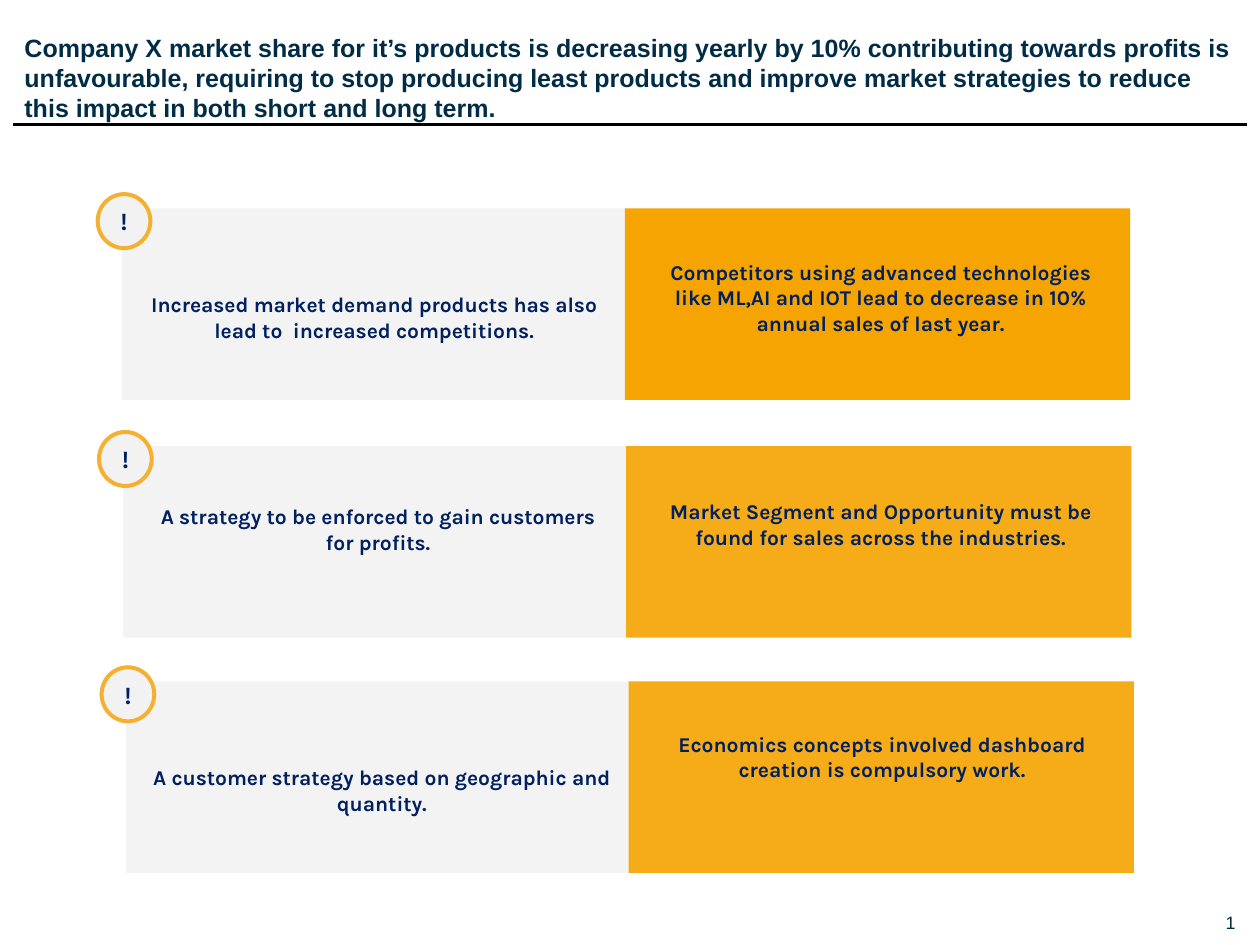
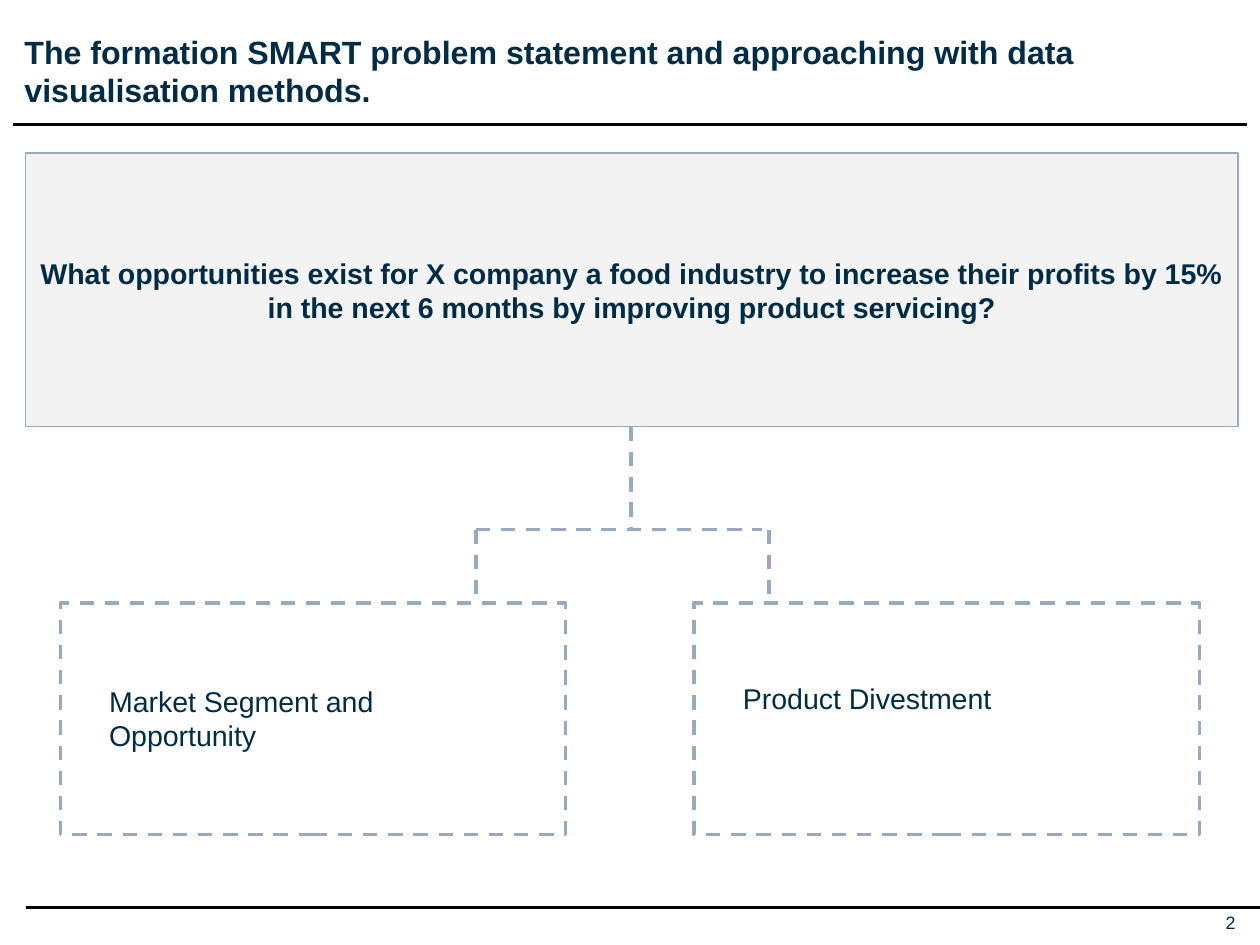
from lxml import etree
from pptx import Presentation
from pptx.dml.color import RGBColor
from pptx.enum.dml import MSO_LINE
from pptx.enum.shapes import MSO_CONNECTOR as CONN, MSO_SHAPE as SHAPE
from pptx.enum.text import MSO_ANCHOR as ANCHOR, MSO_AUTO_SIZE as FIT, PP_ALIGN as ALIGN
from pptx.oxml.ns import qn
from pptx.util import Inches, Pt

INK, NAVY, BLACK = "002C46", "002060", "000000"
PALE, AMBER, RING, STEEL = "F2F2F2", "F6A401", "F5AF31", "99AABE"


def rgb(value):
    """Turn a hex string into a colour."""
    return RGBColor.from_string(value)


class Deck:
    """Holds the shared style and the slide being built."""

    def __init__(self):
        """Start an empty deck of the right size."""
        self.prs = Presentation()
        self.prs.slide_width, self.prs.slide_height = Inches(9.8), Inches(7.35)
        self.s = None

    def slide(self, title, size, height):
        """Add a slide with its title, rule and number."""
        self.s = self.prs.slides.add_slide(self.prs.slide_layouts[5])
        sp = self.s.shapes.title
        sp.left, sp.top, sp.width, sp.height = map(Inches, (0.19, 0.25, 9.43, height))
        self.label(sp, title, size, bold=True, inset=(0, 0))
        self.line(0.1, 0.97, 9.7, 0.97)
        self.number()

    def label(self, sp, text, size, color=INK, font="Arial", bold=False,
              align=ALIGN.LEFT, anchor=ANCHOR.TOP, inset=(0.1, 0.05)):
        """Put one formatted run into a shape."""
        tf = sp.text_frame
        tf.word_wrap, tf.auto_size, tf.vertical_anchor = True, FIT.NONE, anchor
        tf.margin_left = tf.margin_right = Inches(inset[0])
        tf.margin_top = tf.margin_bottom = Inches(inset[1])
        p = tf.paragraphs[0]
        p.alignment = align
        r = p.add_run()
        r.text = text
        r.font.name, r.font.size, r.font.bold = font, Pt(size), bold
        r.font.color.rgb = rgb(color)
        return r

    def text(self, x, y, w, h, text, size, **style):
        """Add a text box."""
        sp = self.s.shapes.add_textbox(*map(Inches, (x, y, w, h)))
        return self.label(sp, text, size, **style)

    def number(self):
        """Add the slide number as a live field."""
        value = str(len(self.prs.slides))
        r = self.text(9.36, 7.09, 0.25, 0.17, value, 10, align=ALIGN.RIGHT,
                      anchor=ANCHOR.MIDDLE, inset=(0, 0))._r
        r.tag = qn("a:fld")
        r.set("id", "{B6F15528-21DE-4FAA-801E-634DDDAF4B2B}")
        r.set("type", "slidenum")

    def stroke(self, line, color, width, dash=False):
        """Format an outline or a line."""
        line.color.rgb, line.width = rgb(color), Pt(width)
        if dash:
            line.dash_style = MSO_LINE.DASH

    def shape(self, kind, x, y, w, h, fill=None, alpha=100, line=None):
        """Add a preset shape, with line given as colour, width and dash."""
        sp = self.s.shapes.add_shape(kind, *map(Inches, (x, y, w, h)))
        sp.shadow.inherit = False
        if fill:
            sp.fill.solid()
            sp.fill.fore_color.rgb = rgb(fill)
            if alpha < 100:
                color = sp._element.spPr.find(qn("a:solidFill")).find(qn("a:srgbClr"))
                etree.SubElement(color, qn("a:alpha")).set("val", str(alpha * 1000))
        else:
            sp.fill.background()
        if line:
            self.stroke(sp.line, *line)
        else:
            sp.line.fill.background()
        return sp

    def line(self, x1, y1, x2, y2, color=BLACK, width=2, dash=False):
        """Add a straight line."""
        c = self.s.shapes.add_connector(CONN.STRAIGHT, *map(Inches, (x1, y1, x2, y2)))
        self.stroke(c.line, color, width, dash)
        etree.SubElement(c._element.spPr, qn("a:effectLst"))

    def finding(self, x, y, left, right, alpha):
        """Add a pale and an amber panel with an alert badge."""
        karla = dict(color=NAVY, font="Karla", bold=True, align=ALIGN.CENTER)
        panels = ((x, PALE, 85, left), (x + 3.91, AMBER, alpha, right))
        for px, fill, opacity, (tx, ty, text) in panels:
            self.shape(SHAPE.RECTANGLE, px, y, 3.93, 1.49, fill, opacity)
            self.text(tx, ty, 3.78, 0.69, text, 11.8, **karla)
        sp = self.shape(SHAPE.OVAL, x - 0.19, y - 0.11, 0.41, 0.42, PALE, line=(RING, 2.25))
        self.label(sp, "!", 13.7, anchor=ANCHOR.MIDDLE, **karla)


def findings(d):
    """Build the slide of market findings."""
    d.slide("Company X market share for it’s products is decreasing yearly by 10% "
            "contributing towards profits is unfavourable, requiring to stop producing "
            "least products and improve market strategies to reduce this impact in both "
            "short and long term.", 14, 0.71)
    d.finding(0.95, 1.62,
              (1.02, 2.22, "Increased market demand products has also lead to  increased "
                           "competitions."),
              (4.96, 1.97, "Competitors using advanced technologies like ML,AI and IOT lead "
                           "to decrease in 10% annual sales of last year."), 100)
    d.finding(0.96, 3.47,
              (1.05, 3.87, "A strategy to be enforced to gain customers for profits."),
              (4.96, 3.83, "Market Segment and Opportunity must be found for sales across "
                           "the industries."), 90)
    d.finding(0.98, 5.3,
              (1.08, 5.9, "A customer strategy based on geographic and quantity."),
              (4.97, 5.64, "Economics concepts involved dashboard creation is compulsory "
                           "work."), 90)


def problem(d):
    """Build the slide of the problem statement and its two branches."""
    dashed = (STEEL, 2, True)
    d.slide("The formation SMART problem statement and approaching with data "
            "visualisation methods.", 18, 0.61)
    d.line(0.2, 7.06, 9.8, 7.06)
    sp = d.shape(SHAPE.RECTANGLE, 0.2, 1.19, 9.43, 2.13, PALE, 85, (STEEL, 0.75))
    d.label(sp, "What opportunities exist for X company a food industry to increase their "
                "profits by 15% in the next 6 months by improving product servicing?",
            16, bold=True, align=ALIGN.CENTER, anchor=ANCHOR.MIDDLE, inset=(0, 0))
    d.line(4.91, 3.32, 4.91, 4.12, *dashed)
    d.line(3.7, 4.12, 5.93, 4.12, *dashed)
    branches = ((0.47, 3.7, 5.27, "Market Segment and Opportunity"),
                (5.4, 5.98, 5.25, "Product Divestment"))
    for x, stem, y, text in branches:
        d.shape(SHAPE.RECTANGLE, x, 4.69, 3.93, 1.8, line=dashed)
        d.line(stem, 4.12, stem, 4.69, *dashed)
        d.text(x + 0.28, y, 3.37, 0.64, text, 16)


def main():
    """Build and save the deck."""
    d = Deck()
    findings(d)
    problem(d)
    d.prs.save("out.pptx")


if __name__ == "__main__":
    main()
